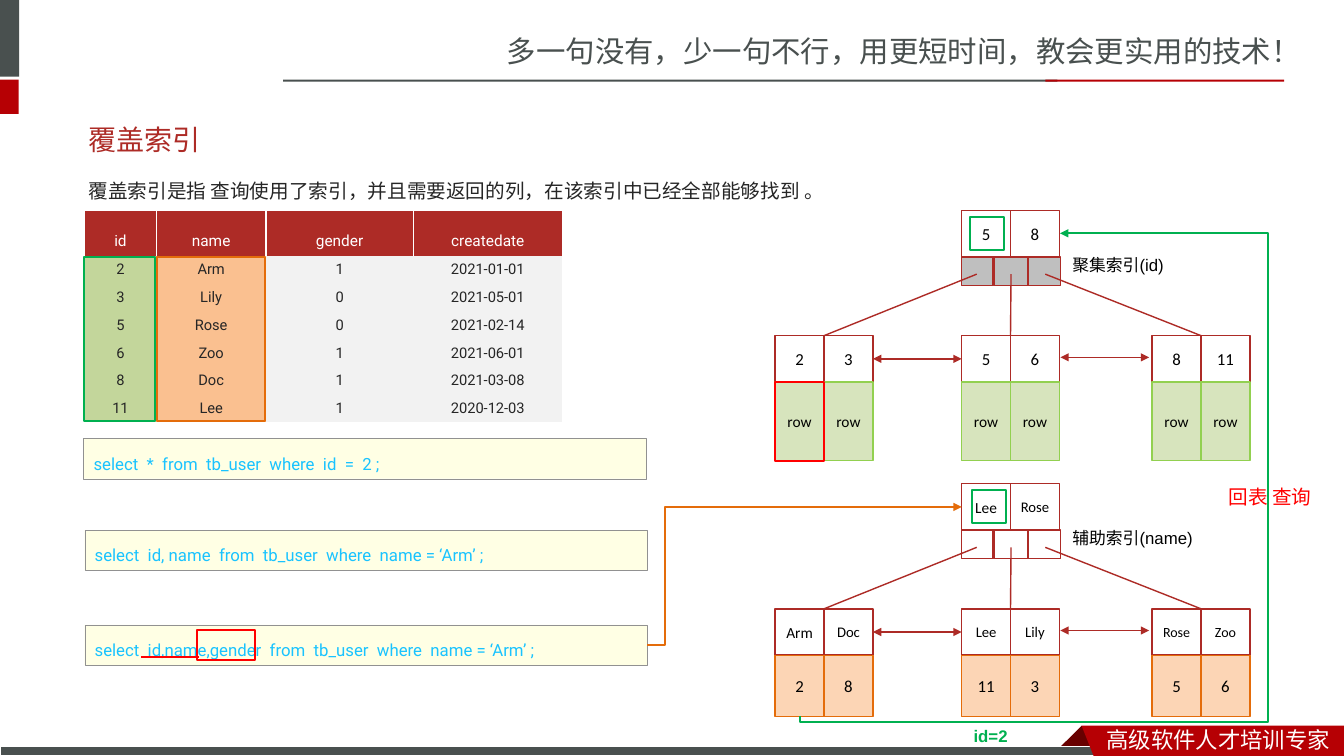
from lxml.etree import SubElement
from pptx import Presentation
from pptx.dml.color import RGBColor
from pptx.enum.shapes import MSO_CONNECTOR, MSO_SHAPE
from pptx.enum.text import MSO_ANCHOR, PP_ALIGN
from pptx.oxml.ns import qn
from pptx.util import Inches, Pt

GRID = Inches(0.1)  # one column or row; the slide is 133.3 columns by 75 rows
COLUMNS, ROWS = 133.33, 75
CJK = "Noto Sans CJK SC"
COLORS = {name: RGBColor.from_string(code) for name, code in {
    "slate": "49504F", "crimson": "B60004", "fold": "680000", "white": "FFFFFF",
    "brick": "AD2B26", "black": "000000", "ink": "262626", "pointer": "BFBFBF",
    "lime": "92D050", "pale_green": "D7E4BD", "orange": "E46C0A",
    "pale_orange": "FCD5B5", "green": "00B050", "red": "FF0000",
    "cream": "FFFFE4", "gray": "919191", "sky": "19C3FF",
    "id_column": "C3D69B", "name_column": "FAC090", "cell": "F2F2F2"}.items()}

deck = Presentation()
deck.slide_width, deck.slide_height = int(COLUMNS * GRID), ROWS * GRID
slide = deck.slides.add_slide(deck.slide_layouts[6])
shapes = slide.shapes


def box(left, top, width, height, text="", fill=None, line=None, weight=1, size=12,
        font="Calibri", color="black", align=PP_ALIGN.LEFT, anchor=MSO_ANCHOR.TOP,
        inset=(1, 0.5), spacing=None, bold=False):
    """Place a rectangle, or a plain text box when it has neither fill nor line."""
    place = [int(value * GRID) for value in (left, top, width, height)]
    if fill or line:
        shape = shapes.add_shape(MSO_SHAPE.RECTANGLE, *place)
        shape.shadow.inherit = False
        shape.fill.background()
        shape.line.fill.background()
    else:
        shape = shapes.add_textbox(*place)
    if fill:
        shape.fill.solid()
        shape.fill.fore_color.rgb = COLORS[fill]
    if line:
        shape.line.color.rgb = COLORS[line]
        shape.line.width = Pt(weight)
    if text:
        frame = shape.text_frame
        frame.word_wrap = True
        frame.vertical_anchor = anchor
        frame.margin_left = frame.margin_right = int(inset[0] * GRID)
        frame.margin_top = frame.margin_bottom = int(inset[1] * GRID)
        paragraph = frame.paragraphs[0]
        paragraph.text = text
        paragraph.alignment = align
        paragraph.line_spacing = spacing
        paragraph.font.size, paragraph.font.name = Pt(size), font
        paragraph.font.bold = bold
        paragraph.font.color.rgb = COLORS[color]
        SubElement(paragraph.font._rPr, qn("a:ea"), typeface=CJK)


def link(start, end, color="brick", weight=1, arrows=(), bends=(), turn=0):
    """Draw a straight line, or an elbow when bends gives its adjustments."""
    kind = MSO_CONNECTOR.ELBOW if bends else MSO_CONNECTOR.STRAIGHT
    connector = shapes.add_connector(kind, *[int(value * GRID) for value in (*start, *end)])
    connector.line.color.rgb = COLORS[color]
    connector.line.width = Pt(weight)
    properties = connector._element.spPr
    for arrow in arrows:
        SubElement(properties.find(qn("a:ln")), qn("a:" + arrow), type="triangle")
    SubElement(properties, qn("a:effectLst"))
    if bends:
        geometry = properties.find(qn("a:prstGeom"))
        geometry.set("prst", f"bentConnector{len(bends) + 2}")
        guides = geometry.find(qn("a:avLst"))
        for number, bend in enumerate(bends, 1):
            SubElement(guides, qn("a:gd"), name=f"adj{number}", fmla=f"val {bend}")
        properties.find(qn("a:xfrm")).set("rot", str(turn * 60000))


# Header with its bars
box(49.3, 2.8, 84.1, 4.7, "多一句没有，少一句不行，用更短时间，教会更实用的技术！",
    size=21, font=CJK, color="slate")
for left, top, width, height, fill in [
        (0, 0, 1.9, 7.6, "slate"), (0, 7.9, 1.85, 3.4, "crimson"),
        (28.1, 7.9, 76.8, 0.2, "slate"), (103.7, 7.9, 23.7, 0.2, "crimson")]:
    box(left, top, width, height, fill=fill)

# Footer: folded ribbon over a dark bar
fold = [(107.3, 72), (109.5, 74.2), (109.4, 74.3), (105.2, 74.3), (105.1, 74.2)]
ribbon = [(107.3, 72), (COLUMNS, 72), (COLUMNS, ROWS), (108.5, ROWS)]
for outline, fill in [(fold, "fold"), (ribbon, "crimson")]:
    points = [(int(x * GRID), int(y * GRID)) for x, y in outline]
    builder = shapes.build_freeform(*points[0])
    builder.add_line_segments(points[1:], close=True)
    band = builder.convert_to_shape()
    band.shadow.inherit = False
    band.fill.solid()
    band.fill.fore_color.rgb = COLORS[fill]
    band.line.fill.background()
    if outline is fold:
        box(0, 74.1, 109.9, 0.9, fill="slate", line="white", weight=0.75)
box(108.8, 71.5, 24.5, 3.7, "高级软件人才培训专家", size=16, font=CJK, color="white")

# Title and definition
box(7.8, 11, 117.6, 5.7, "覆盖索引", size=20, color="brick", anchor=MSO_ANCHOR.MIDDLE)
box(7.8, 16.1, 117, 5.7,
    "覆盖索引是指 查询使用了索引，并且需要返回的列，在该索引中已经全部能够找到 。",
    size=14, font="Lato", color="ink", spacing=1.5)

# Index trees: root keys, leaf keys and leaf records, with key sizes
CELL, KEY_HEIGHT = 4.85, 4.6
LEAF_LEFTS = (76.9, 95.4, 114.3)
ROOT_LEFT = LEAF_LEFTS[1]
POINTERS = [(95.4, 3.1), (98.6, 3.4), (102, 3.2)]
trees = [
    (20.9, ("5", "8"), (12, 12), "pointer", "聚集索引(id)",
     [("2", "3"), ("5", "6"), ("8", "11")], [(12, 12)] * 3,
     [("row", "row")] * 3, 11, 7.8, "pale_green", "lime"),
    (48, ("Lee", "Rose"), (11, 10.5), None, "辅助索引(name)",
     [("Arm", "Doc"), ("Lee", "Lily"), ("Rose", "Zoo")],
     [(11, 10.5), (10.5, 10.5), (10, 10)],
     [("2", "8"), ("11", "3"), ("5", "6")], 12, 6.1, "pale_orange", "orange")]
centred = dict(align=PP_ALIGN.CENTER, anchor=MSO_ANCHOR.MIDDLE, inset=(0, 0))
for (top, root, root_sizes, pointer_fill, caption, leaves, leaf_sizes,
     records, record_size, record_height, record_fill, record_line) in trees:
    leaf_top = top + 12.4
    nodes = [(ROOT_LEFT, top, root, root_sizes)]
    nodes += [(left, leaf_top, keys, sizes)
              for left, keys, sizes in zip(LEAF_LEFTS, leaves, leaf_sizes)]
    for left, node_top, keys, sizes in nodes:
        for side in range(2):
            box(left + side * CELL, node_top, CELL, KEY_HEIGHT, keys[side],
                line="brick", size=sizes[side], **centred)
    for left, width in POINTERS:
        box(left, top + KEY_HEIGHT, width, 2.8, fill=pointer_fill, line="brick")
    for start, leaf_left in zip((96.9, 100.3, 103.7), LEAF_LEFTS):
        link((start, top + 6.3), (leaf_left + CELL, leaf_top))
    for start, end, drop in [(86.6, 95.4, 14.7), (105.2, 114, 14.55)]:
        link((start, top + drop), (end, top + drop), arrows=("headEnd", "tailEnd"))
    for left, pair in zip(LEAF_LEFTS, records):
        for side, record in enumerate(pair):
            box(left + side * CELL, leaf_top + KEY_HEIGHT, CELL, record_height, record,
                fill=record_fill, line=record_line, size=record_size, **centred)
    box(105.4, top + 2.9, 15.5, 3.9, caption, font="Arial", spacing=1.5)

# User table
users = [("id", "name", "gender", "createdate"),
         ("2", "Arm", "1", "2021-01-01"), ("3", "Lily", "0", "2021-05-01"),
         ("5", "Rose", "0", "2021-02-14"), ("6", "Zoo", "1", "2021-06-01"),
         ("8", "Doc", "1", "2021-03-08"), ("11", "Lee", "1", "2020-12-03")]
user_grid = shapes.add_table(len(users), 4, *[int(v * GRID) for v in (8.4, 20.9, 47.4, 21)])
user_table = user_grid.table
user_table.first_row = user_table.horz_banding = False
user_table._tbl.tblPr.find(qn("a:tableStyleId")).text = "{2D5ABB26-0587-4C30-8999-92F81FD0307C}"
for column, width in zip(user_table.columns, (7.1, 10.9, 14.6, 14.8)):
    column.width = int(width * GRID)
for row, user in enumerate(users):
    user_table.rows[row].height = int((2.7 if row else 4.5) * GRID)
    for column, value in enumerate(user):
        cell = user_table.cell(row, column)
        cell.vertical_anchor = MSO_ANCHOR.MIDDLE
        column_fill = ("id_column", "name_column", "cell", "cell")[column]
        cell.fill.solid()
        cell.fill.fore_color.rgb = COLORS[column_fill if row else "brick"]
        entry = cell.text_frame.paragraphs[0]
        entry.text = value
        entry.alignment = PP_ALIGN.CENTER
        entry.font.name, entry.font.size = "Roboto", Pt(10.5 if row else 11)
        entry.font.color.rgb = COLORS["ink" if row else "white"]
        if row == 0:
            entry.line_spacing = Pt(24)
            cell_properties = cell._tc.get_or_add_tcPr()
            for position, edge in enumerate(("lnL", "lnR", "lnT")):
                border = SubElement(cell_properties, qn("a:" + edge), w=str(Pt(1)))
                SubElement(SubElement(border, qn("a:solidFill")), qn("a:srgbClr"),
                           val=str(COLORS["white"]))
                cell_properties.insert(position, border)

# Queries
for left, top, query in [
        (8.3, 43.5, "select  *  from  tb_user  where  id  =  2 ;"),
        (8.4, 52.6, "select  id, name  from  tb_user  where  name = ‘Arm’ ;"),
        (8.4, 62, "select  id,name,gender  from  tb_user  where  name = ‘Arm’ ;")]:
    box(left, top, 55.8, 4, query, fill="cream", line="gray", weight=0.25,
        font="Roboto", color="sky", spacing=1.5)

# Highlights on the table, the last query and the trees
for left, top, width, height, color in [
        (8.3, 25.5, 7.1, 16.3, "green"), (15.6, 25.5, 10.7, 16.3, "orange"),
        (19.5, 62.5, 5.8, 3, "red"), (76.9, 37.9, CELL, 7.8, "red"),
        (96.2, 21.5, 3.4, 3.3, "green"), (96.4, 48.6, 3.4, 3.3, "green")]:
    box(left, top, width, height, line=color, weight=1.5)
link((14, 65.2), (19.7, 65.2), "red", 1.5)

# Lookup by name, then back to the clustered index by id
link((64.2, 64), (95.4, 50.3), "orange", 1.5, ("tailEnd",), (5600,))
link((116.2, 60), (68.3, 34.2), "green", 1.5, ("tailEnd",), (-1200, 180100), 90)
box(95.6, 71, 6.1, 2.6, "id=2", font="Arial", color="green", bold=True,
    inset=(1, 0), spacing=1.5)
box(120.9, 46.9, 12.1, 3.3, "回表 查询", size=14, font="Arial", color="red",
    inset=(1, 0), spacing=1.5)

deck.save("out.pptx")
